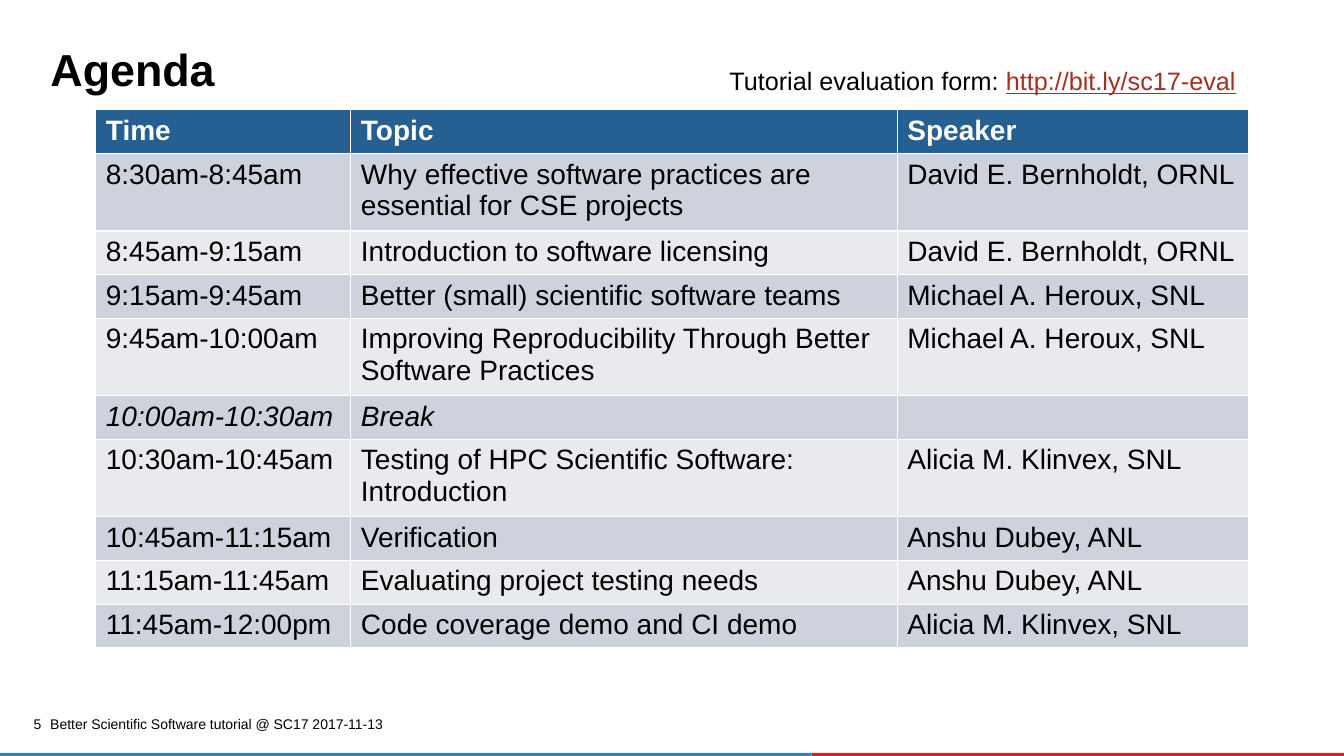
from pptx import Presentation
from pptx.dml.color import RGBColor
from pptx.enum.shapes import MSO_SHAPE as Shape
from pptx.enum.text import MSO_ANCHOR as Anchor, PP_ALIGN as Align
from pptx.util import Inches, Pt

COLORS = {
    "black": "000000", "white": "FFFFFF", "header": "266092",
    "odd row": "CDD2DC", "even row": "E8EAEE", "link": "A03123",
    "red": "DA1F28", "blue": "1B8DC3",
}


def add_span(para, text, size, color="black", bold=False, italic=False):
    span = para.add_run()
    span.text = text
    span.font.name = "Arial"
    span.font.size = Pt(size)
    span.font.bold = bold
    span.font.italic = italic
    span.font.color.rgb = RGBColor.from_string(COLORS[color])
    return span


def add_box(left, top, width, height, wrap=True):
    box = page.shapes.add_textbox(*map(Inches, (left, top, width, height)))
    box.text_frame.word_wrap = wrap
    return box.text_frame


deck = Presentation()
deck.slide_width = Inches(13.33)
deck.slide_height = Inches(7.5)
page = deck.slides.add_slide(deck.slide_layouts[5])

for left, width, color in [(8.05, 5.29, "red"), (-0.01, 8.06, "blue")]:
    stripe = page.shapes.add_shape(
        Shape.RECTANGLE, Inches(left), Inches(7.47), Inches(width), Inches(0.03))
    stripe.shadow.inherit = False
    stripe.fill.solid()
    stripe.fill.fore_color.rgb = RGBColor.from_string(COLORS[color])
    stripe.line.fill.background()

footer = add_box(0.4, 7.08, 3.63, 0.2)
footer.vertical_anchor = Anchor.MIDDLE
add_span(footer.paragraphs[0], "Better Scientific Software tutorial @ SC17 2017-11-13", 10)

number = add_box(0.18, 7.12, 0.23, 0.17)
number.margin_left = number.margin_right = number.margin_top = number.margin_bottom = 0
para = number.paragraphs[0]
para.alignment = Align.RIGHT
para.line_spacing = 0.9
add_span(para, "5", 10)

title = page.shapes.title
title.left, title.top, title.width, title.height = map(Inches, (0.4, 0.45, 12.44, 0.56))
title.text_frame.vertical_anchor = Anchor.TOP
para = title.text_frame.paragraphs[0]
para.alignment = Align.LEFT
para.line_spacing = 0.85
add_span(para, "Agenda", 32, bold=True)

agenda = [
    ("Time", "Topic", "Speaker"),
    ("8:30am-8:45am", "Why effective software practices are essential for CSE projects",
     "David E. Bernholdt, ORNL"),
    ("8:45am-9:15am", "Introduction to software licensing", "David E. Bernholdt, ORNL"),
    ("9:15am-9:45am", "Better (small) scientific software teams", "Michael A. Heroux, SNL"),
    ("9:45am-10:00am", "Improving Reproducibility Through Better Software Practices",
     "Michael A. Heroux, SNL"),
    ("10:00am-10:30am", "Break", ""),
    ("10:30am-10:45am", "Testing of HPC Scientific Software: Introduction",
     "Alicia M. Klinvex, SNL"),
    ("10:45am-11:15am", "Verification", "Anshu Dubey, ANL"),
    ("11:15am-11:45am", "Evaluating project testing needs", "Anshu Dubey, ANL"),
    ("11:45am-12:00pm", "Code coverage demo and CI demo", "Alicia M. Klinvex, SNL"),
]
table = page.shapes.add_table(
    len(agenda), 3, Inches(0.95), Inches(1.09), Inches(11.43), Inches(4.1)).table
for column, width in zip(table.columns, (2.53, 5.42, 3.48)):
    column.width = Inches(width)
for row, entries in enumerate(agenda):
    table.rows[row].height = Inches(0.41)
    is_header = row == 0
    fill = "header" if is_header else "odd row" if row % 2 else "even row"
    for cell, text in zip(table.rows[row].cells, entries):
        cell.fill.solid()
        cell.fill.fore_color.rgb = RGBColor.from_string(COLORS[fill])
        if text:
            add_span(cell.text_frame.paragraphs[0], text, 20,
                     "white" if is_header else "black",
                     bold=is_header, italic=entries[1] == "Break")

evaluation = add_box(7.11, 0.45, 5.27, 0.5, wrap=False)
para = evaluation.paragraphs[0]
para.alignment = Align.CENTER
para.line_spacing = 1.5
add_span(para, "Tutorial evaluation form: ", 18)
add_span(para, "http://bit.ly/sc17-eval", 18, "link").font.underline = True

deck.save("out.pptx")
